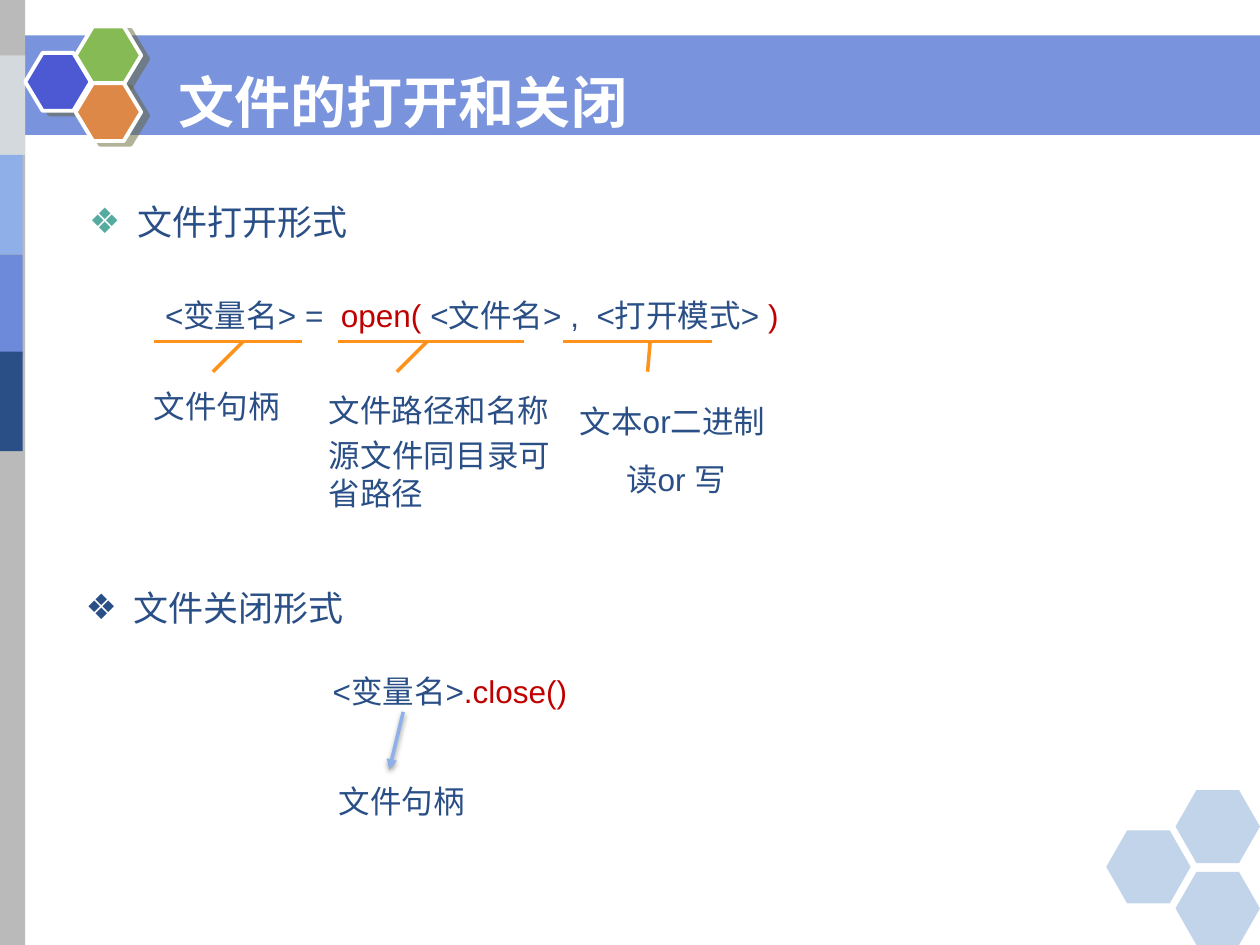
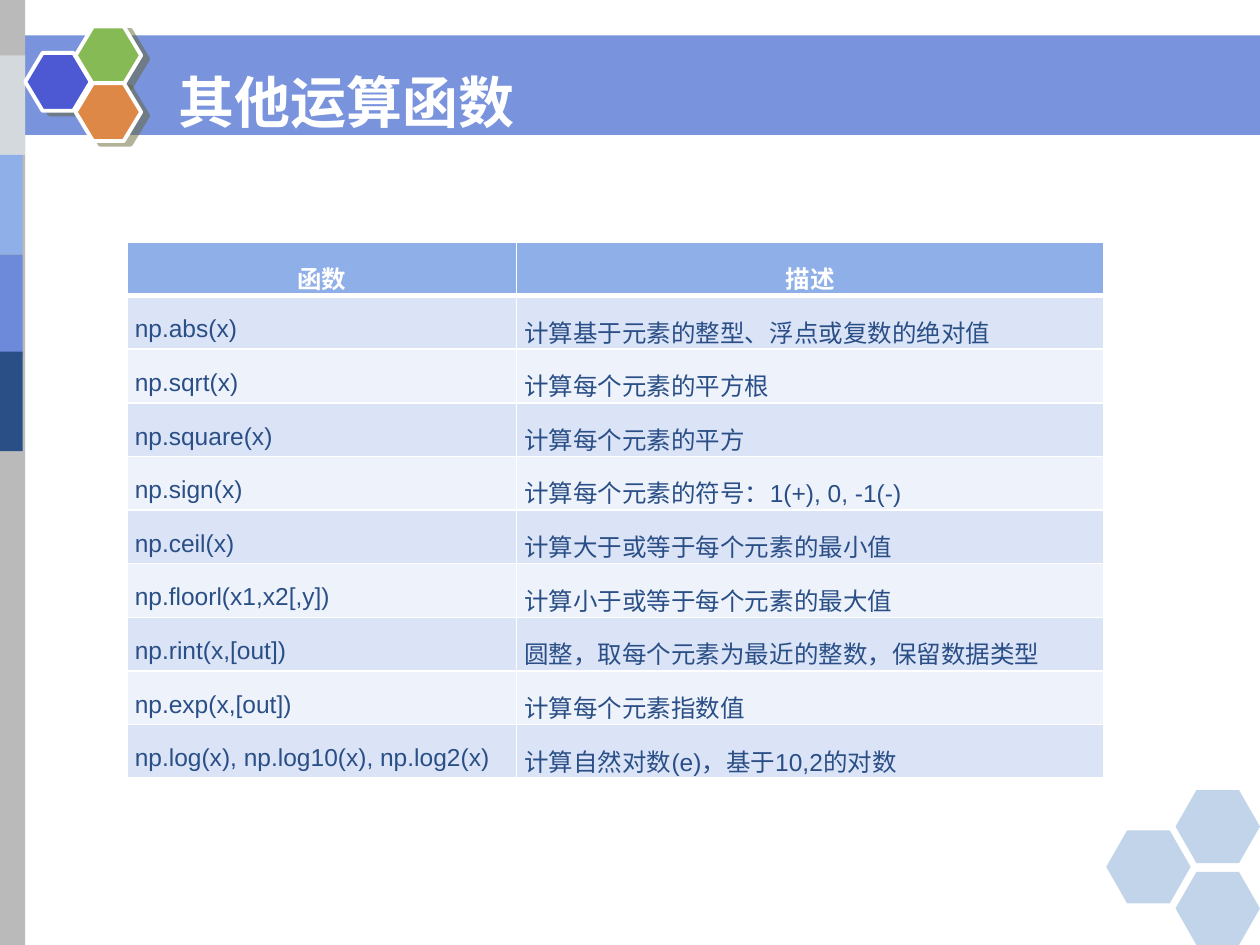
from lxml import etree
from pptx import Presentation
from pptx.dml.color import RGBColor
from pptx.enum.shapes import MSO_CONNECTOR, MSO_SHAPE
from pptx.enum.text import MSO_ANCHOR, MSO_AUTO_SIZE, PP_ALIGN
from pptx.oxml.ns import qn
from pptx.util import Inches, Pt

RECT, HEX = MSO_SHAPE.RECTANGLE, MSO_SHAPE.HEXAGON
LINE = MSO_CONNECTOR.STRAIGHT
MID, TOP = MSO_ANCHOR.MIDDLE, MSO_ANCHOR.TOP
LEFT, CENTER, JUST = PP_ALIGN.LEFT, PP_ALIGN.CENTER, PP_ALIGN.JUSTIFY
FIXED = MSO_AUTO_SIZE.NONE

NAVY, BLUE, SKY, WHITE = "2A4F86", "6C89DA", "8FAFE9", "FFFFFF"
RED, ORANGE, TEAL = "C00000", "FF921A", "55ABA0"


def rgb(code):
    return RGBColor.from_string(code)


def put(item, values):
    for name, value in values.items():
        setattr(item, name, value)


def sub(parent, tag, **attrs):
    node = etree.SubElement(parent, qn(tag))
    for name, value in attrs.items():
        node.set(name, str(value))
    return node


def inset(left, top, kind="margin_"):
    pads = {"left": left, "right": left, "top": top, "bottom": top}
    return {kind + side: Inches(pad) for side, pad in pads.items()}


def cast(effect, color, alpha, blur, dist, angle):
    """Add an outer shadow to an effect list."""
    node = sub(effect, "a:outerShdw", blurRad=Pt(blur), dist=Pt(dist),
               dir=angle * 60000, algn="ctr", rotWithShape=0)
    tint = sub(node, "a:srgbClr", val=color)
    sub(tint, "a:alpha", val=alpha * 1000)


class Deck:
    head = {"size": Pt(32), "name": "Courier New", "bold": True}
    item = {"size": Pt(20), "name": "Arial", "bold": False}
    note = {"size": Pt(18), "name": "Arial", "bold": False}
    cell = {"size": Pt(14), "name": "Arial", "bold": False}

    def __init__(self):
        self.prs = Presentation()
        put(self.prs, {"slide_width": Inches(10), "slide_height": Inches(7.5)})
        self.base = self.prs.slide_layouts[5]
        self.slide = None

    def start(self, title):
        self.slide = self.prs.slides.add_slide(self.base)
        box = self.slide.shapes.title
        put(box, {"left": Inches(1.31), "top": Inches(0.45),
                  "width": Inches(8.06), "height": Inches(0.7)})
        put(box.text_frame, {"word_wrap": True, "auto_size": FIXED,
                             "vertical_anchor": MID, **inset(0.11, 0.06)})
        self.para(box.text_frame.paragraphs[0], [(title, WHITE)], self.head,
                  {"alignment": JUST})

    def para(self, para, runs, font, form):
        put(para, form)
        for words, color in runs:
            run = para.add_run()
            run.text = words
            put(run.font, font)
            run.font.color.rgb = rgb(color)

    def text(self, x, y, w, h, lines, font=None, form=None, pad=(0, 0.01)):
        """Add a text box; each line is a list of (words, color) runs."""
        box = self.slide.shapes.add_textbox(*map(Inches, (x, y, w, h)))
        frame = box.text_frame
        put(frame, {"word_wrap": True, "auto_size": FIXED,
                    "vertical_anchor": TOP, **inset(*pad)})
        form = form or {"alignment": LEFT, "space_before": Pt(0.8)}
        for i, runs in enumerate(lines):
            para = frame.add_paragraph() if i else frame.paragraphs[0]
            self.para(para, runs, font or self.note, form)
        return frame

    def indent(self, para, left, first):
        prop = para._p.get_or_add_pPr()
        prop.set("marL", str(Inches(left)))
        prop.set("indent", str(Inches(first)))
        return prop

    def point(self, y, words, mark, space, pad):
        """Add a bulleted heading line."""
        form = {"alignment": JUST, "space_before": Pt(4), "line_spacing": space}
        frame = self.text(0.61, y, 9.27, 0.64, [[(words, NAVY)]], self.item,
                          form, pad)
        prop = self.indent(frame.paragraphs[0], 0.38, -0.38)
        sub(sub(prop, "a:buClr"), "a:srgbClr", val=mark)
        sub(prop, "a:buFont", typeface="Arial")
        sub(prop, "a:buChar", char="❖")

    def shape(self, kind, x, y, w, h, color, alpha=100, bend=None, edge=None,
              shade=None):
        part = self.slide.shapes.add_shape(kind, *map(Inches, (x, y, w, h)))
        part.fill.solid()
        part.fill.fore_color.rgb = rgb(color)
        prop = part.element.spPr
        if alpha < 100:
            tint = prop.find(qn("a:solidFill")).find(qn("a:srgbClr"))
            sub(tint, "a:alpha", val=alpha * 1000)
        if bend:
            part.adjustments[0] = bend
        if edge:
            part.line.color.rgb = rgb(WHITE)
            part.line.width = Pt(edge)
        else:
            part.line.fill.background()
        part.shadow.inherit = False
        if shade:
            cast(prop.find(qn("a:effectLst")), *shade)

    def line(self, x1, y1, x2, y2, color, width=2, arrow=False, shade=None):
        ends = map(Inches, (x1, y1, x2, y2))
        link = self.slide.shapes.add_connector(LINE, *ends)
        link.line.color.rgb = rgb(color)
        link.line.width = Pt(width)
        prop = link.element.spPr
        if arrow:
            sub(prop.find(qn("a:ln")), "a:tailEnd", type="triangle")
        effect = sub(prop, "a:effectLst")
        if shade:
            cast(effect, *shade)

    def table(self, x, y, widths, high, rows):
        grid = self.slide.shapes.add_table(
            len(rows), len(widths), Inches(x), Inches(y),
            Inches(sum(widths)), Inches(high * len(rows))).table
        for col, width in zip(grid.columns, widths):
            col.width = Inches(width)
        for r, words in enumerate(rows):
            grid.rows[r].height = Inches(high)
            top = r == 0
            fill = SKY if top else ("EEF2FB", "DBE3F7")[r % 2]
            for c, word in enumerate(words):
                cell = grid.cell(r, c)
                put(cell, {"vertical_anchor": MID, **inset(0.06, 0)})
                self.para(cell.text_frame.paragraphs[0],
                          [(word, WHITE if top else NAVY)],
                          {**self.cell, "bold": top},
                          {"alignment": CENTER if top else JUST,
                           "line_spacing": 1.5})
                self.edges(cell, {"L": 1, "R": 1, "T": 3 if r == 1 else 1,
                                  "B": 3 if top else 1})
                cell.fill.solid()
                cell.fill.fore_color.rgb = rgb(fill)

    def edges(self, cell, sides):
        prop = cell._tc.get_or_add_tcPr()
        for side, width in sides.items():
            edge = sub(prop, "a:ln" + side, w=Pt(width))
            sub(sub(edge, "a:solidFill"), "a:srgbClr", val=WHITE)

    def dress(self):
        """Draw the shared bands and hexagons and move them to the layout."""
        # Title band and side column
        self.shape(RECT, 0, 0.28, 10, 0.79, BLUE, alpha=91)
        self.shape(RECT, 0, 0, 0.2, 7.5, "BABABA")
        tiles = [(0.44, 0.2, "D3D9DD"), (1.23, 0.18, SKY),
                 (2.02, 0.18, BLUE), (2.79, 0.18, NAVY)]
        for y, w, color in tiles:
            self.shape(RECT, 0, y, w, 0.79, color)
        # Hexagon clusters
        for x, y, color in [(0.2, 0.42, "4C59D2"), (0.6, 0.21, "85BA54"),
                            (0.6, 0.66, "DE8848")]:
            self.shape(HEX, x, y, 0.52, 0.46, color, bend=0.3, edge=2.25,
                       shade=("666633", 50, 0, 4.5, 27))
        for x, y in [(8.78, 6.59), (9.33, 6.27), (9.33, 6.92)]:
            self.shape(HEX, x, y, 0.67, 0.58, "5086C2", alpha=35, bend=0.286)
        tree = self.base.shapes.element
        for i, part in enumerate(list(self.slide.shapes)):
            if not part.is_placeholder:
                part.element.nvSpPr.cNvPr.set("id", str(20 + i))
                tree.append(part.element)


def files(deck):
    deck.start("文件的打开和关闭")
    deck.dress()

    # Opening a file
    deck.point(1.54, "文件打开形式", TEAL, 1.0, (0.1, 0.05))
    deck.text(1.31, 2.34, 6.21, 0.31, [[
        ("<变量名> =", NAVY), ("  open( ", RED),
        ("<文件名> ,  <打开模式> ", NAVY), (")", RED)]])

    # Underlines with ticks: left, right, tick top, tick foot
    base = 2.71
    for left, right, top, foot in [(1.22, 2.4, 1.93, 1.69),
                                   (2.68, 4.16, 3.39, 3.15),
                                   (4.47, 5.65, 5.16, 5.14)]:
        deck.line(left, base, right, base, ORANGE)
        deck.line(top, base, foot, base + 0.24, ORANGE)

    # Notes under the ticks
    handle = [[("文件句柄", NAVY)]]
    deck.text(1.22, 3.06, 1.02, 0.31, handle)
    deck.text(2.61, 3.09, 1.76, 0.99,
              [[("文件路径和名称", NAVY)], [("源文件同目录可省路径", NAVY)]],
              form={"alignment": JUST, "space_before": Pt(4.5)})
    modes = deck.text(4.45, 3.03, 1.82, 0.93,
                      [[("文本or二进制 ", NAVY)], [("读or 写", NAVY)]],
                      form={"alignment": CENTER, "line_spacing": 1.5,
                            "space_before": Pt(0.8)})
    for para in modes.paragraphs:
        deck.indent(para, 0.39, -0.38)

    # Closing a file
    deck.point(4.49, "文件关闭形式", NAVY, 1.4, (0.07, 0.03))
    deck.text(2.64, 5.32, 2.5, 0.31,
              [[("<变量名>", NAVY), (".close()", RED)]])
    deck.text(2.69, 6.2, 1.02, 0.31, handle)
    deck.line(3.2, 5.65, 3.09, 6.11, SKY, arrow=True,
              shade=("000000", 38, 3.1, 1.6, 90))


def maths(deck):
    deck.start("其他运算函数")
    deck.table(1.01, 1.92, (3.09, 4.66), 0.424, [
        ("函数", "描述"),
        ("np.abs(x)", "计算基于元素的整型、浮点或复数的绝对值"),
        ("np.sqrt(x)", "计算每个元素的平方根"),
        ("np.square(x)", "计算每个元素的平方"),
        ("np.sign(x)", "计算每个元素的符号：1(+), 0, -1(-)"),
        ("np.ceil(x)", "计算大于或等于每个元素的最小值"),
        ("np.floorl(x1,x2[,y])", "计算小于或等于每个元素的最大值"),
        ("np.rint(x,[out])", "圆整，取每个元素为最近的整数，保留数据类型"),
        ("np.exp(x,[out])", "计算每个元素指数值"),
        ("np.log(x), np.log10(x), np.log2(x)", "计算自然对数(e)，基于10,2的对数"),
    ])


def main():
    deck = Deck()
    files(deck)
    maths(deck)
    deck.prs.save("out.pptx")


if __name__ == "__main__":
    main()
